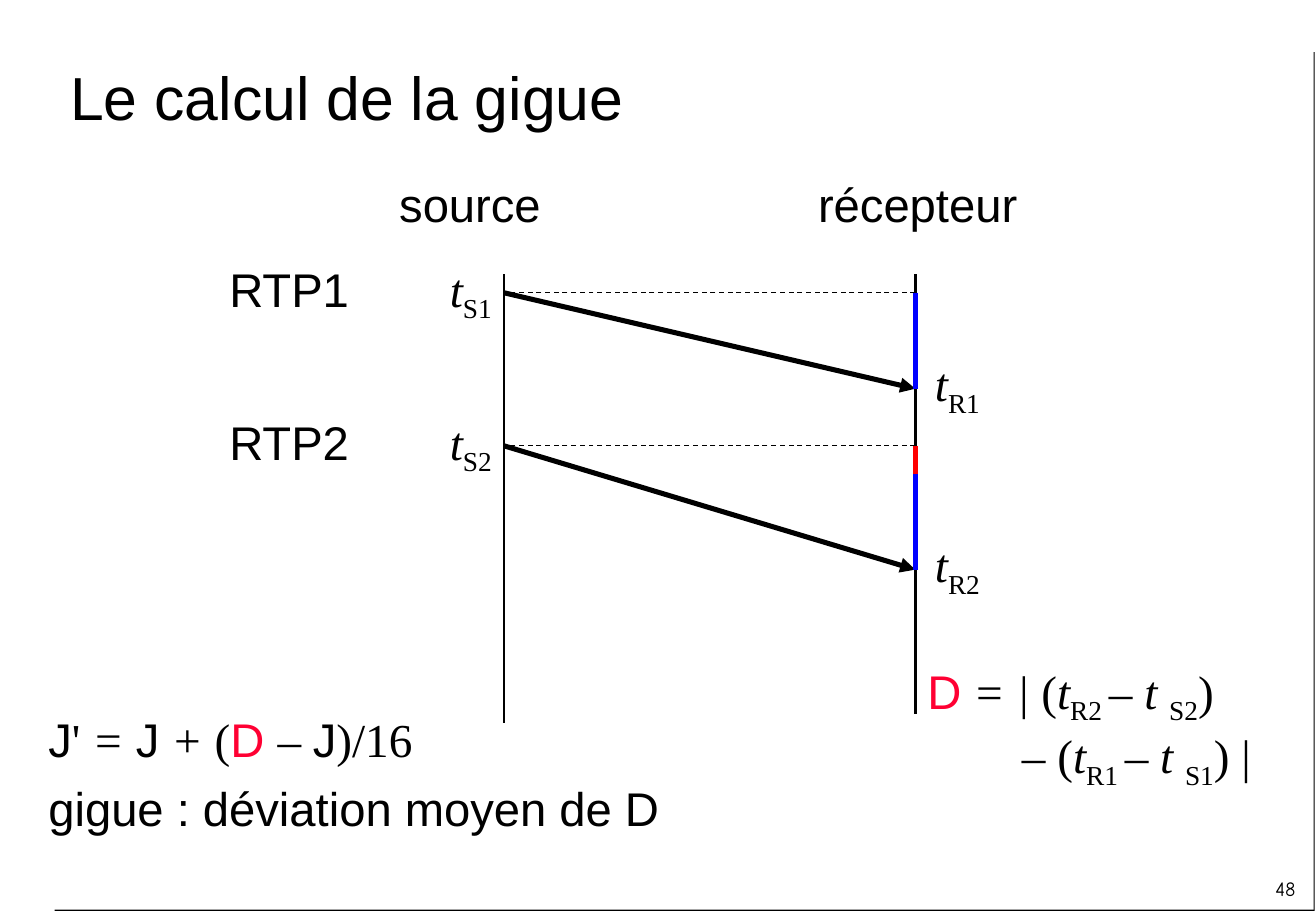
from dataclasses import dataclass
from typing import Optional

from lxml.etree import SubElement
from pptx import Presentation
from pptx.dml.color import RGBColor
from pptx.enum.dml import MSO_LINE
from pptx.enum.shapes import MSO_CONNECTOR, MSO_SHAPE
from pptx.enum.text import MSO_ANCHOR, PP_ALIGN
from pptx.oxml.ns import qn
from pptx.slide import Slide
from pptx.util import Inches, Pt


@dataclass(frozen=True)
class Theme:
    """Colours, fonts and type sizes of the slide."""
    ink: str = "000000"
    paper: str = "FFFFFF"
    accent: str = "FF0033"
    delay: str = "0000FF"
    jitter: str = "FF0000"
    sans: str = "Arial"
    serif: str = "Times New Roman"
    number_font: str = "Comic Neue"
    title_size: float = 36
    body_size: float = 28
    number_size: float = 12


THEME = Theme()


@dataclass(frozen=True)
class Part:
    """A stretch of text in one style."""
    text: str
    font: str = THEME.serif
    italic: bool = False
    color: str = THEME.ink
    subscript: bool = False


@dataclass(frozen=True)
class Label:
    """A text box made of paragraphs of parts."""
    left: float
    top: float
    width: float
    height: float
    paragraphs: list[list[Part]]
    size: float = THEME.body_size
    align: PP_ALIGN = PP_ALIGN.LEFT
    anchor: MSO_ANCHOR = MSO_ANCHOR.TOP
    wrap: bool = True
    hanging: float = 0


@dataclass(frozen=True)
class Stroke:
    """A straight line between two points."""
    start: tuple[float, float]
    end: tuple[float, float]
    width: float
    color: str = THEME.ink
    dashed: bool = False
    arrow: bool = False


@dataclass(frozen=True)
class Packet:
    """An RTP packet with its sending and receiving heights."""
    number: int
    sent: float
    received: float


SOURCE_X, RECEIVER_X = 4.15, 7.54
PACKETS = [Packet(1, 2.41, 3.2), Packet(2, 3.67, 4.69)]


def sans(text: str, color: str = THEME.ink) -> Part:
    """Return upright sans-serif text."""
    return Part(text, THEME.sans, color=color)


def slanted(text: str) -> Part:
    """Return italic serif text."""
    return Part(text, italic=True)


def sub(text: str) -> Part:
    """Return subscript serif text."""
    return Part(text, subscript=True)


def common(values: list) -> Optional[object]:
    """Return the value shared by all items, or None."""
    return values[0] if len(set(values)) == 1 else None


def apply_style(font, name: Optional[str], italic: Optional[bool], color: Optional[str]) -> None:
    """Set the given font properties, skipping those that are None."""
    if name is not None:
        font.name = name
    if italic is not None:
        font.italic = italic
    if color is not None:
        font.color.rgb = RGBColor.from_string(color)


def draw_label(slide: Slide, label: Label) -> None:
    """Draw a label as a text box."""
    box = slide.shapes.add_textbox(
        *map(Inches, (label.left, label.top, label.width, label.height)))
    frame = box.text_frame
    frame.word_wrap = label.wrap
    frame.vertical_anchor = label.anchor
    for index, parts in enumerate(label.paragraphs):
        paragraph = frame.add_paragraph() if index else frame.paragraphs[0]
        paragraph.alignment = label.align
        if index:
            paragraph.space_before = Pt(7)
        if label.hanging:
            properties = paragraph._p.get_or_add_pPr()
            properties.set("marL", str(Inches(label.hanging)))
            properties.set("indent", str(-Inches(label.hanging)))
        shared = (common([part.font for part in parts]),
                  common([part.italic for part in parts]),
                  common([part.color for part in parts]))
        paragraph.font.size = Pt(label.size)
        apply_style(paragraph.font, *shared)
        for part in parts:
            if part.text == "\n":
                paragraph.add_line_break()
                continue
            run = paragraph.add_run()
            run.text = part.text
            own = (part.font, part.italic, part.color)
            apply_style(run.font, *(None if whole is not None else value
                                    for whole, value in zip(shared, own)))
            if part.subscript:
                run._r.get_or_add_rPr().set("baseline", "-25000")


def draw_stroke(slide: Slide, stroke: Stroke) -> None:
    """Draw a stroke as a connector without shadow."""
    connector = slide.shapes.add_connector(
        MSO_CONNECTOR.STRAIGHT, *map(Inches, stroke.start + stroke.end))
    connector.line.width = Pt(stroke.width)
    connector.line.color.rgb = RGBColor.from_string(stroke.color)
    if stroke.dashed:
        connector.line.dash_style = MSO_LINE.DASH
    if stroke.arrow:
        SubElement(connector.line._get_or_add_ln(), qn("a:tailEnd"), type="triangle")
    SubElement(connector._element.spPr, qn("a:effectLst"))


def draw_panel(slide: Slide) -> None:
    """Draw the white page panel with its thin hard shadow."""
    panel = slide.shapes.add_shape(
        MSO_SHAPE.RECTANGLE, *map(Inches, (0.44, 0.42, 10.38, 7.07)))
    panel.fill.solid()
    panel.fill.fore_color.rgb = RGBColor.from_string(THEME.paper)
    panel.line.fill.background()
    panel.shadow.inherit = False
    effects = panel._element.spPr.find(qn("a:effectLst"))
    shadow = SubElement(effects, qn("a:outerShdw"), dist=str(Pt(1)), dir="2700000",
                        algn="ctr", rotWithShape="0")
    SubElement(shadow, qn("a:srgbClr"), val=THEME.ink)


def draw_packet(slide: Slide, packet: Packet, base_delay: float) -> None:
    """Draw a packet's path, its delay on the receiver line and its labels."""
    departure, arrival = (SOURCE_X, packet.sent), (RECEIVER_X, packet.received)
    level = (RECEIVER_X, packet.sent)
    delay_start = (RECEIVER_X, packet.received - base_delay)
    draw_stroke(slide, Stroke(level, departure, 0.75, dashed=True))
    draw_stroke(slide, Stroke(departure, arrival, 3, arrow=True))
    draw_stroke(slide, Stroke(delay_start, arrival, 3, THEME.delay))
    if delay_start[1] > packet.sent:
        draw_stroke(slide, Stroke(level, delay_start, 3, THEME.jitter))
    name_top = packet.sent - 0.32
    draw_label(slide, Label(1.79, name_top, 1.19, 0.57,
                            [[sans(f"RTP{packet.number}")]], wrap=False))
    for side, left, top in (("S", 1.71, name_top), ("R", 5.73, packet.received - 0.33)):
        draw_label(slide, Label(left, top, 2.44, 0.63,
                                [[slanted("t"), sub(f"{side}{packet.number}")]],
                                align=PP_ALIGN.RIGHT))


def main() -> None:
    """Build the jitter slide and save it."""
    deck = Presentation()
    deck.slide_width, deck.slide_height = Inches(10.84), Inches(7.5)
    slide = deck.slides.add_slide(deck.slide_layouts[6])
    draw_panel(slide)
    for x, bottom in ((SOURCE_X, 5.95), (RECEIVER_X, 5.88)):
        draw_stroke(slide, Stroke((x, 2.26), (x, bottom), 1.5))
    for packet in PACKETS:
        draw_packet(slide, packet, PACKETS[0].received - PACKETS[0].sent)

    difference = [sans("D", THEME.accent), slanted(" = | "), Part("("), slanted("t"),
                  sub("R2 "), slanted("– t "), sub("S2"), Part(")"), Part("\n"),
                  slanted("– "), Part("("), slanted("t"), sub("R1 "), slanted("– t "),
                  sub("S1"), Part(") |")]
    jitter = [sans("J"), Part("'"), slanted(" = "), sans("J"), slanted(" +"), Part(" ("),
              sans("D ", THEME.accent), slanted("– "), sans("J"), Part(")/16")]
    for label in (
        Label(0.48, 0.17, 10.35, 1.25, [[sans("Le calcul de la gigue")]],
              THEME.title_size, anchor=MSO_ANCHOR.MIDDLE),
        Label(3.19, 1.39, 1.37, 0.57, [[sans("source")]], wrap=False),
        Label(6.64, 1.39, 1.84, 0.57, [[sans("récepteur")]], wrap=False),
        Label(7.54, 5.4, 3.07, 1.16, [difference], hanging=0.78),
        Label(0.3, 5.8, 5.36, 1.7, [jitter, [sans("gigue : déviation moyen de D")]]),
        Label(10.25, 7.13, 0.52, 0.37, [[Part("48", THEME.number_font)]],
              THEME.number_size, PP_ALIGN.RIGHT, MSO_ANCHOR.MIDDLE),
    ):
        draw_label(slide, label)
    deck.save("out.pptx")


if __name__ == "__main__":
    main()
